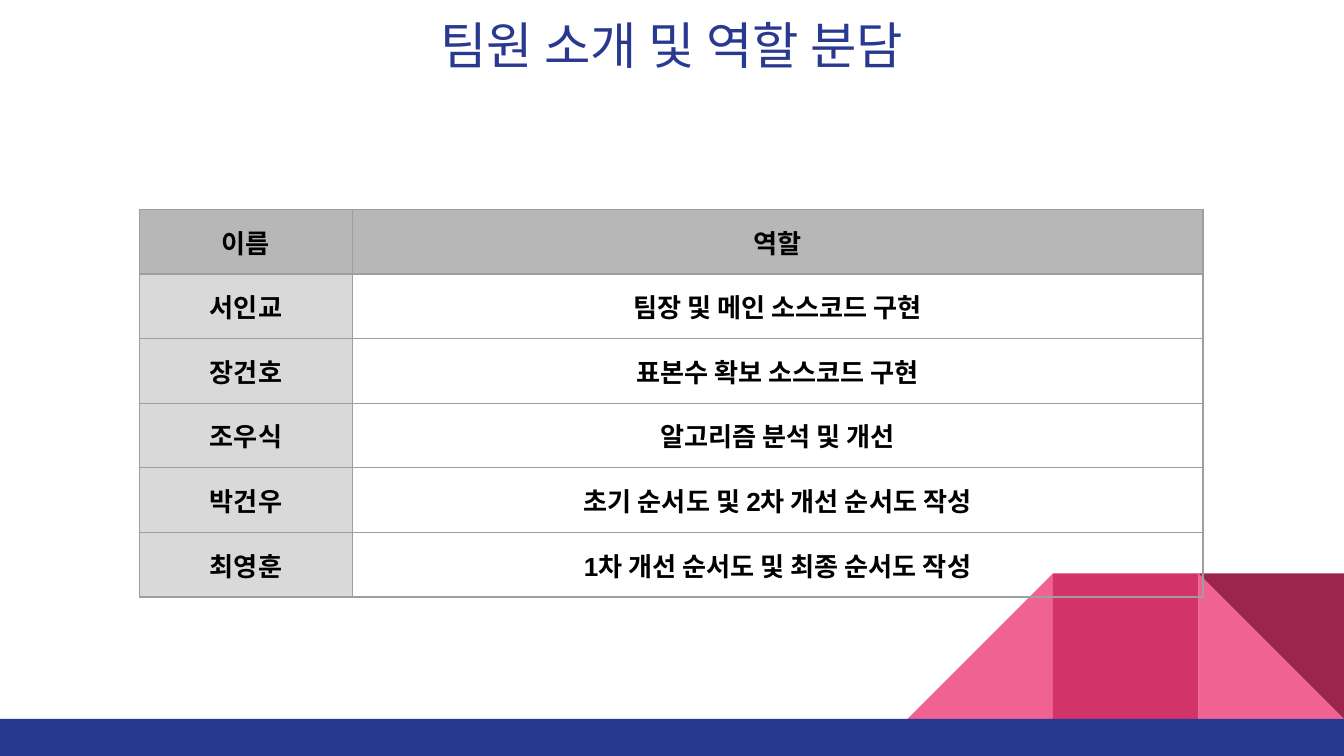
from dataclasses import dataclass

import pptx
import pptx.dml.color
import pptx.enum.shapes
import pptx.enum.text
import pptx.oxml
import pptx.oxml.ns
import pptx.util

Cm = pptx.util.Cm
Pt = pptx.util.Pt
SHAPES = pptx.enum.shapes.MSO_SHAPE
MIDDLE = pptx.enum.text.MSO_ANCHOR.MIDDLE
CENTER = pptx.enum.text.PP_ALIGN.CENTER

WIDTH, HEIGHT = 25.4, 14.29
TILE = 2.75
BAR_TOP = 13.59
COLUMNS, COLUMN_WIDTH, ROW_HEIGHT = 5, 4.02, 1.07
NAVY, PINK, ROSE, WINE = "2A3990", "F06292", "D23369", "9C254D"
HEADER_GRAY, NAME_GRAY, BORDER_GRAY = "B7B7B7", "D9D9D9", "9E9E9E"
INSETS = dict.fromkeys(
    ("margin_left", "margin_top", "margin_right", "margin_bottom"), Cm(0.25)
)


@dataclass
class Block:
    kind: int
    left: float
    top: float
    width: float
    height: float
    color: str
    rotation: int = 0
    flipped: bool = False


@dataclass
class Member:
    name: str
    role: str


def tile(kind: int, place: int, color: str, **options) -> Block:
    left = WIDTH - (3 - place) * TILE
    return Block(kind, left, BAR_TOP - TILE, TILE, TILE, color, **options)


BLOCKS = [
    tile(SHAPES.RIGHT_TRIANGLE, 2, PINK),
    tile(SHAPES.RIGHT_TRIANGLE, 0, PINK, flipped=True),
    tile(SHAPES.RECTANGLE, 1, ROSE),
    tile(SHAPES.RIGHT_TRIANGLE, 2, WINE, rotation=180),
    Block(SHAPES.RECTANGLE, 0, BAR_TOP, WIDTH, HEIGHT - BAR_TOP, NAVY),
]

MEMBERS = [
    Member("이름", "역할"),
    Member("서인교", "팀장 및 메인 소스코드 구현"),
    Member("장건호", "표본수 확보 소스코드 구현"),
    Member("조우식", "알고리즘 분석 및 개선"),
    Member("박건우", "초기 순서도 및 2차 개선 순서도 작성"),
    Member("최영훈", "1차 개선 순서도 및 최종 순서도 작성"),
]


def rgb(color: str) -> pptx.dml.color.RGBColor:
    return pptx.dml.color.RGBColor.from_string(color)


def apply(target, values: dict) -> None:
    for name, value in values.items():
        setattr(target, name, value)


def write(frame, text: str, color: str, font: dict) -> None:
    para = frame.paragraphs[0]
    para.alignment = CENTER
    span = para.add_run()
    span.text = text
    apply(span.font, font)
    span.font.color.rgb = rgb(color)


def draw_block(page, block: Block) -> None:
    box = page.shapes.add_shape(
        block.kind, Cm(block.left), Cm(block.top), Cm(block.width), Cm(block.height)
    )
    box.shadow.inherit = False
    box.fill.solid()
    box.fill.fore_color.rgb = rgb(block.color)
    box.line.fill.background()
    box.rotation = block.rotation
    if block.flipped:
        box.element.spPr.find(pptx.oxml.ns.qn("a:xfrm")).set("flipH", "1")


def draw_title(page, text: str) -> None:
    title = page.shapes.title
    apply(title, {"left": Cm(0.86), "top": Cm(0), "width": Cm(23.67), "height": Cm(1.68)})
    apply(title.text_frame, {**INSETS, "word_wrap": True, "vertical_anchor": MIDDLE})
    write(title.text_frame, text, NAVY, {"size": Pt(27), "name": "Roboto"})


def add_borders(cell) -> None:
    properties = cell._tc.get_or_add_tcPr()
    for place, side in enumerate(("lnL", "lnR", "lnT", "lnB")):
        line = pptx.oxml.parse_xml(
            f'<a:{side} {pptx.oxml.ns.nsdecls("a")} w="{Pt(0.75)}"><a:solidFill>'
            f'<a:srgbClr val="{BORDER_GRAY}"/></a:solidFill></a:{side}>'
        )
        properties.insert(place, line)


def paint_cell(cell, color: str) -> None:
    if color:
        cell.fill.solid()
        cell.fill.fore_color.rgb = rgb(color)
    else:
        cell.fill.background()
    add_borders(cell)


def draw_table(page, members: list[Member]) -> None:
    table = page.shapes.add_table(
        len(members), COLUMNS, Cm(2.64), Cm(3.96),
        Cm(COLUMNS * COLUMN_WIDTH), Cm(len(members) * ROW_HEIGHT),
    ).table
    apply(table, {"first_row": False, "horz_banding": False})
    for row, member in enumerate(members):
        name_color, role_color = (NAME_GRAY, "") if row else (HEADER_GRAY, HEADER_GRAY)
        for column in range(COLUMNS):
            paint_cell(table.cell(row, column), role_color if column else name_color)
        table.cell(row, 1).merge(table.cell(row, COLUMNS - 1))
        for column, text in enumerate((member.name, member.role)):
            cell = table.cell(row, column)
            apply(cell, INSETS)
            font = {"size": Pt(14), "name": "Arial", "bold": True}
            write(cell.text_frame, text, "000000", font)


def main() -> None:
    deck = pptx.Presentation()
    apply(deck, {"slide_width": Cm(WIDTH), "slide_height": Cm(HEIGHT)})
    page = deck.slides.add_slide(deck.slide_layouts[5])
    for block in BLOCKS:
        draw_block(page, block)
    draw_title(page, "팀원 소개 및 역할 분담")
    draw_table(page, MEMBERS)
    deck.save("out.pptx")


if __name__ == "__main__":
    main()
